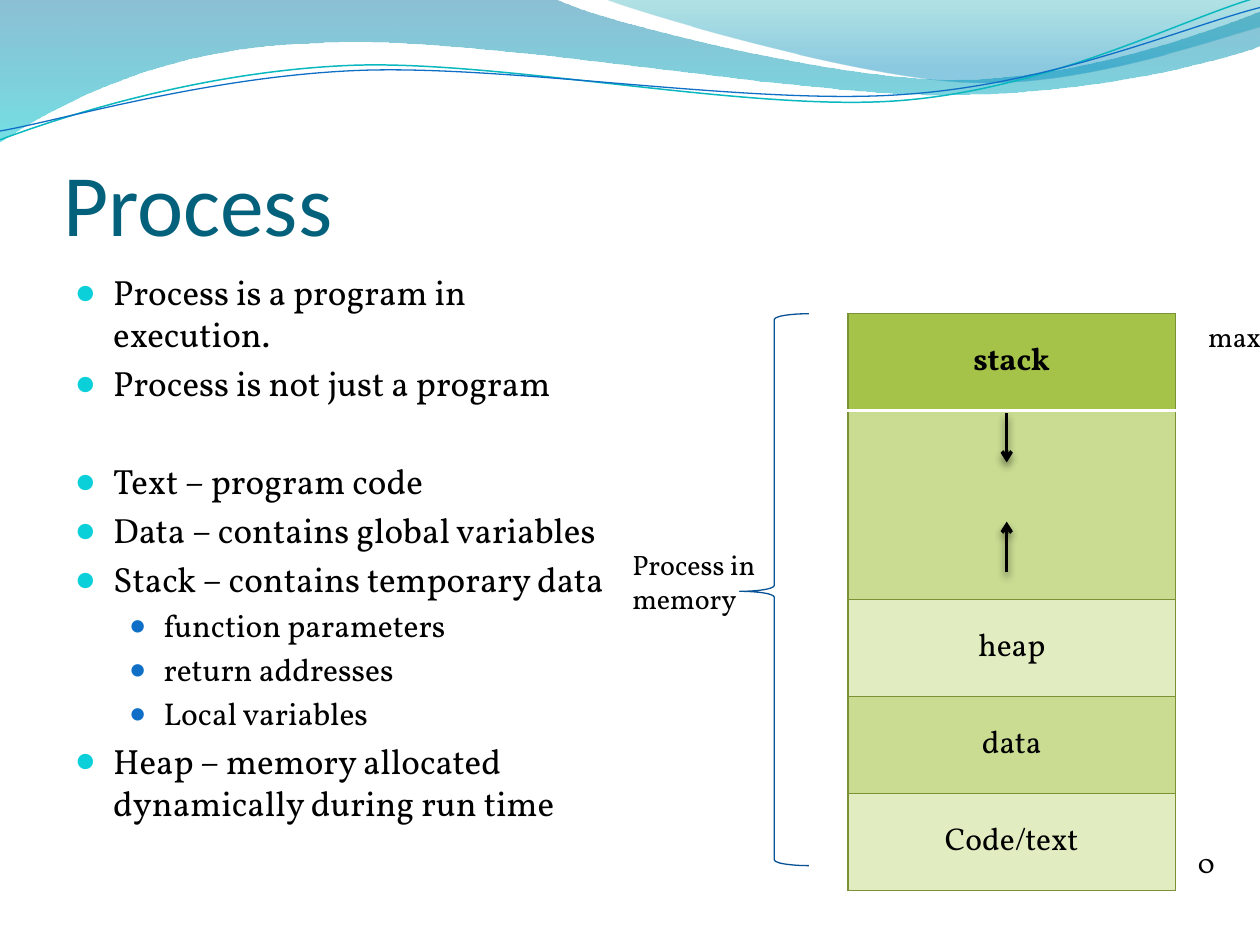
from lxml import etree
from pptx import Presentation
from pptx import util as u
from pptx.dml.color import RGBColor
from pptx.enum import shapes, text
from pptx.oxml.ns import qn

BODY_FONT, TITLE_FONT = "Vollkorn", "Calibri"
GREEN, MID_GREEN, PALE_GREEN, OLIVE = "A5C249", "C9DC92", "E1EDC0", "7B9135"
UNITS = 1000  # freeform units per inch


def color(hex_code):
    return RGBColor.from_string(hex_code)


def child(parent, tag, **attributes):
    return etree.SubElement(parent, qn(tag), {k: str(v) for k, v in attributes.items()})


class SlideWriter:
    """Holds the text style and the slide being filled."""

    def __init__(self, slide, font=BODY_FONT, ink="000000"):
        self.slide, self.font, self.ink = slide, font, ink

    def style(self, paragraph, size, bold=False, font=None, ink=None):
        for run in paragraph.runs:
            run.font.size, run.font.bold = u.Pt(size), bold
            run.font.name = font or self.font
            run.font.color.rgb = color(ink or self.ink)

    def title(self, words, *box):
        title = self.slide.shapes.title
        title.left, title.top, title.width, title.height = map(u.Inches, box)
        frame = title.text_frame
        frame.text = words
        frame.vertical_anchor = text.MSO_ANCHOR.BOTTOM
        frame.margin_left = frame.margin_right = frame.margin_bottom = 0
        frame.paragraphs[0].alignment = text.PP_ALIGN.LEFT
        self.style(frame.paragraphs[0], 50, font=TITLE_FONT, ink="04617B")

    def label(self, words, *box, size=16):
        frame = self.slide.shapes.add_textbox(*map(u.Inches, box)).text_frame
        frame.word_wrap = True
        frame.text = words
        for paragraph in frame.paragraphs:
            self.style(paragraph, size)
        return frame

    def bullets(self, items, *box):
        """items: (level, extra space before in points, words)."""
        looks = [(20, 0.3, 0.3, "0BD0D9", 95), (18, 0.7, 0.27, "0F6FC6", 85)]
        frame = self.label("\n".join(words for _, _, words in items), *box)
        for paragraph, (level, gap, _) in zip(frame.paragraphs, items):
            size, margin, hang, bullet_color, percent = looks[level]
            self.style(paragraph, size)
            paragraph.level = level
            paragraph.space_before = u.Pt(size * 0.2 + gap)
            props = paragraph._p.get_or_add_pPr()
            props.set("marL", str(u.Inches(margin)))
            props.set("indent", str(-u.Inches(hang)))
            child(child(props, "a:buClr"), "a:srgbClr", val=bullet_color)
            child(props, "a:buSzPct", val=percent * 1000)
            child(props, "a:buFont", typeface=TITLE_FONT)
            child(props, "a:buChar", char="●")

    def freeform(self, start, segments, close):
        """segments: line ends (x, y) or Bezier curves (x1, y1, x2, y2, x, y)."""
        def grid(*point):
            return [round(value * UNITS) for value in point]

        knots = [grid(*segment[-2:]) for segment in segments]
        builder = self.slide.shapes.build_freeform(*grid(*start), scale=u.Inches(1) / UNITS)
        builder.add_line_segments(knots, close=close)
        outline = builder.convert_to_shape()
        outline.shadow.inherit = False
        left, top = (min(values) for values in zip(grid(*start), *knots))
        lines = list(outline._element.iter(qn("a:lnTo")))
        for line, segment in zip(lines, segments):
            if len(segment) == 6:
                curve = etree.Element(qn("a:cubicBezTo"))
                for x, y in zip(segment[::2], segment[1::2]):
                    px, py = grid(x, y)
                    child(curve, "a:pt", x=px - left, y=py - top)
                line.getparent().replace(line, curve)
        return outline

    def wave(self, start, segments, stops):
        """Filled area; stops: (position, colour, opacity percent)."""
        wave = self.freeform(start, segments, True)
        wave.fill.gradient()
        wave.fill.gradient_angle = 270
        for stop, (position, hex_code, _) in zip(wave.fill.gradient_stops, stops):
            stop.position = position
            stop.color.rgb = color(hex_code)
        for tint, (_, _, opacity) in zip(wave._element.iter(qn("a:srgbClr")), stops):
            child(tint, "a:alpha", val=opacity * 1000)
        wave.line.fill.background()

    def ribbon(self, start, curves, hex_code, width):
        ribbon = self.freeform(start, curves, False)
        ribbon.fill.background()
        ribbon.line.color.rgb = color(hex_code)
        ribbon.line.width = u.Pt(width)

    def arrow(self, x, y_from, y_to):
        arrow = self.slide.shapes.add_connector(
            shapes.MSO_CONNECTOR.STRAIGHT, *map(u.Inches, (x, y_from, x, y_to)))
        arrow.line.color.rgb = color(self.ink)
        arrow.line.width = u.Pt(2)
        child(arrow.line._get_or_add_ln(), "a:tailEnd", type="arrow")
        shadow = child(child(arrow._element.spPr, "a:effectLst"), "a:outerShdw",
                       blurRad=u.Pt(4.5), dist=u.Pt(3), dir=5400000, rotWithShape=0)
        child(child(shadow, "a:srgbClr", val="000000"), "a:alpha", val=48000)

    def brace(self, *box):
        brace = self.slide.shapes.add_shape(shapes.MSO_SHAPE.LEFT_BRACE, *map(u.Inches, box))
        brace.adjustments[0], brace.adjustments[1] = 0.083, 0.503
        brace.shadow.inherit = False
        brace.fill.background()
        brace.line.color.rgb = color("095295")
        brace.line.width = u.Pt(0.75)

    def border(self, cell, side, hex_code, width):
        line = child(cell._tc.get_or_add_tcPr(), f"a:ln{side}", w=u.Pt(width))
        child(child(line, "a:solidFill"), "a:srgbClr", val=hex_code)

    def memory_table(self, segments, left, top, width):
        """segments: (words, height, fill), from the highest address down."""
        total = sum(height for _, height, _ in segments)
        table = self.slide.shapes.add_table(
            len(segments), 1, *map(u.Inches, (left, top, width, total))).table
        table.first_row = table.horz_banding = False
        for i, (words, height, fill) in enumerate(segments):
            table.rows[i].height = u.Inches(height)
            cell = table.cell(i, 0)
            white_side = {0: "B", 1: "T"}.get(i)
            for side in "LRTB":
                self.border(cell, side, *(("FFFFFF", 2) if side == white_side else (OLIVE, 0.75)))
            cell.fill.solid()
            cell.fill.fore_color.rgb = color(fill)
            cell.vertical_anchor = text.MSO_ANCHOR.MIDDLE
            cell.text_frame.text = words
            paragraph = cell.text_frame.paragraphs[0]
            paragraph.alignment = text.PP_ALIGN.CENTER
            self.style(paragraph, 18, bold=i == 0)


def main():
    deck = Presentation()
    deck.slide_width, deck.slide_height = u.Inches(10), u.Inches(7.5)
    page = SlideWriter(deck.slides.add_slide(deck.slide_layouts[5]))

    page.wave((0, 0), [(4.4, -0.01),
                       (4.76, 0.17, 6.64, 0.63, 7.58, 0.63),
                       (8.53, 0.63, 9.58, 0.26, 10, 0.09),
                       (10.01, 0.36),
                       (9.83, 0.44, 8.7, 0.76, 7.46, 0.75),
                       (6.22, 0.75, 3.82, 0.28, 2.57, 0.34),
                       (1.29, 0.36, 0.46, 0.83, -0.01, 1.13)],
              [(0, "0074A1", 45), (1, "00C6CF", 55)])
    page.wave((4.79, -0.01), [(5.09, 0.11, 6.82, 0.62, 7.69, 0.65),
                              (8.56, 0.69, 9.61, 0.32, 10, 0.21),
                              (10, 0)],
              [(0, "00A1A9", 30), (0.8, "008BBF", 45)])
    page.ribbon((0, 1.11), [(0.48, 0.93, 1.58, 0.57, 2.77, 0.52),
                            (3.95, 0.47, 5.93, 0.89, 7.13, 0.8),
                            (8.33, 0.71, 9.38, 0.15, 9.98, -0.02)], "0AB8BF", 0.85)
    page.ribbon((0, 1.04), [(0.47, 0.96, 1.64, 0.61, 2.83, 0.56),
                            (4.03, 0.51, 5.97, 0.84, 7.17, 0.75),
                            (8.36, 0.67, 9.41, 0.21, 10, 0.06)], "0F6FC6", 0.75)

    page.title("Process", 0.5, 0.77, 9, 1.25)
    page.bullets([
        (0, 0, "Process is a program in execution."),
        (0, 0, "Process is not just a program"),
        (0, 28, "Text – program code"),
        (0, 0, "Data – contains global variables"),
        (0, 0, "Stack – contains temporary data"),
        (1, 0, "function parameters"),
        (1, 0, "return addresses"),
        (1, 0, "Local variables"),
        (0, 0, "Heap – memory allocated dynamically during run time"),
    ], 0.5, 2.1, 4.42, 4.85)

    page.memory_table([("stack", 0.77, GREEN), ("", 1.5, MID_GREEN), ("heap", 0.77, PALE_GREEN),
                       ("data", 0.77, MID_GREEN), ("Code/text", 0.77, PALE_GREEN)],
                      6.73, 2.49, 2.6)
    page.arrow(7.99, 3.28, 3.67)
    page.arrow(7.99, 4.54, 4.14)
    page.label("max", 9.49, 2.49, 0.87, 0.37)
    page.label("0", 9.41, 6.66, 0.87, 0.37)
    page.brace(5.87, 2.49, 0.55, 4.38)
    page.label("Process in memory", 4.92, 4.3, 1.34, 0.64)

    deck.save("out.pptx")


if __name__ == "__main__":
    main()
